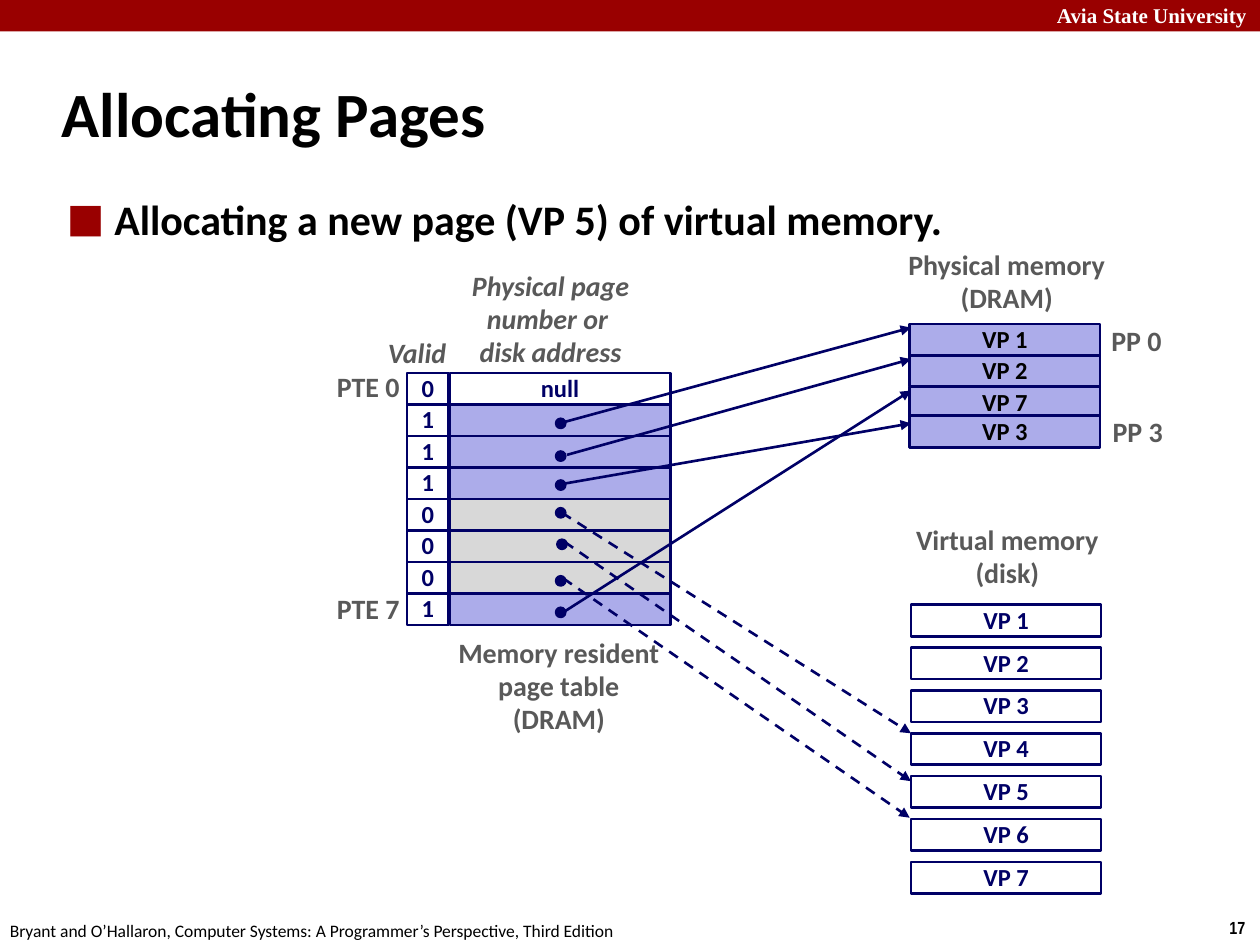
from typing import NamedTuple, Optional

from lxml import etree
from pptx import Presentation
from pptx import util as u
from pptx.dml.color import RGBColor
from pptx.enum import dml, shapes, text
from pptx.oxml.ns import qn

COLORS = {
    "banner": "990000",
    "white": "FFFFFF",
    "black": "000000",
    "navy": "000066",
    "label": "595959",
    "cached": "ACACEA",
    "uncached": "D8D8D8",
}
ROW_HEIGHT = 0.25
CENTER, LEFT, RIGHT = text.PP_ALIGN.CENTER, text.PP_ALIGN.LEFT, text.PP_ALIGN.RIGHT
TOP, MIDDLE = text.MSO_ANCHOR.TOP, text.MSO_ANCHOR.MIDDLE


class Box(NamedTuple):
    left: float
    top: float
    width: float
    height: float


class Style(NamedTuple):
    size: float
    color: str
    bold: bool = True
    italic: bool = False
    font: str = "Calibri"
    align: text.PP_ALIGN = CENTER
    anchor: text.MSO_ANCHOR = MIDDLE
    spacing: Optional[float] = 0.98


class Label(NamedTuple):
    box: Box
    lines: list
    style: Style


class Entry(NamedTuple):
    valid: str
    fill: str
    address: str = ""


class Pointer(NamedTuple):
    dot: tuple
    start: tuple
    end: tuple
    dashed: bool = False


CELL = Style(14, "navy")
FRAME = Style(14, "black")
CAPTION = Style(16, "label", anchor=TOP)
SIDE = Style(16, "label")
HEADING = Style(36, "black", align=LEFT, spacing=None)
BULLET = Style(24, "black", align=LEFT, anchor=TOP, spacing=None)
FOOTER = Style(10, "black", bold=False, align=LEFT, anchor=TOP, spacing=None)

LABELS = [
    Label(Box(8.29, -0.03, 1.78, 0.3), ["Avia State University"],
          FOOTER._replace(size=12, color="white", bold=True, font="Times New Roman")),
    Label(Box(9.66, 7.23, 0.34, 0.27), ["17"],
          FOOTER._replace(bold=True, font="Arial Narrow")),
    Label(Box(-0.02, 7.25, 5.08, 0.27),
          ["Bryant and O’Hallaron, Computer Systems: A Programmer’s Perspective, Third Edition"],
          FOOTER),
    Label(Box(3.51, 5.01, 1.85, 0.89), ["Memory resident", "page table", "(DRAM)"], CAPTION),
    Label(Box(7.1, 1.93, 1.78, 0.63), ["Physical memory", "(DRAM)"], CAPTION),
    Label(Box(7.15, 4.11, 1.69, 0.63), ["Virtual memory", "(disk)"], CAPTION),
    Label(Box(2.98, 2.63, 0.75, 0.37), ["Valid"], CAPTION._replace(italic=True, align=LEFT)),
    Label(Box(3.64, 2.09, 1.46, 0.89), ["Physical page", "number or ", "disk address"],
          SIDE._replace(italic=True)),
    Label(Box(2.57, 2.89, 0.7, 0.37), ["PTE 0"], SIDE._replace(align=RIGHT)),
    Label(Box(2.57, 4.65, 0.7, 0.37), ["PTE 7"], SIDE._replace(align=RIGHT)),
    Label(Box(8.72, 2.53, 0.6, 0.37), ["PP 0"], SIDE),
    Label(Box(8.73, 3.25, 0.6, 0.37), ["PP 3"], SIDE),
]
PAGE_TABLE = [
    Entry("0", "white", "null"),
    *[Entry("1", "cached")] * 3,
    *[Entry("0", "uncached")] * 3,
    Entry("1", "cached"),
]
PHYSICAL_PAGES = {"VP 1": 2.57, "VP 2": 2.82, "VP 7": 3.07, "VP 3": 3.3}
POINTERS = [
    Pointer((4.41, 3.32), (4.44, 3.36), (7.23, 2.6)),
    Pointer((4.41, 3.58), (4.5, 3.61), (7.23, 2.85)),
    Pointer((4.41, 3.81), (4.47, 3.84), (7.23, 3.36)),
    Pointer((4.41, 4.03), (4.46, 4.07), (7.23, 5.82), True),
    Pointer((4.42, 4.28), (4.48, 4.3), (7.23, 6.2), True),
    Pointer((4.41, 4.57), (4.47, 4.59), (7.22, 6.49), True),
    Pointer((4.41, 4.82), (4.47, 4.86), (7.23, 3.1)),
]


def rgb(name: str) -> RGBColor:
    return RGBColor.from_string(COLORS[name])


def inches(values) -> list:
    return [u.Inches(value) for value in values]


def write(frame, lines: list, style: Style) -> None:
    frame.vertical_anchor = style.anchor
    font_format = {"size": u.Pt(style.size), "bold": style.bold,
                   "italic": style.italic, "name": style.font}
    for number, line in enumerate(lines):
        paragraph = frame.add_paragraph() if number else frame.paragraphs[0]
        paragraph.alignment = style.align
        paragraph.line_spacing = style.spacing
        run = paragraph.add_run()
        run.text = line
        for attribute, value in font_format.items():
            setattr(run.font, attribute, value)
        run.font.color.rgb = rgb(style.color)


def add_label(slide, label: Label) -> None:
    frame = slide.shapes.add_textbox(*inches(label.box)).text_frame
    frame.word_wrap = False
    frame.auto_size = text.MSO_AUTO_SIZE.SHAPE_TO_FIT_TEXT
    write(frame, label.lines, label.style)


def add_filled(slide, box: Box, fill: Optional[str], line: Optional[str] = "navy",
               kind=shapes.MSO_SHAPE.RECTANGLE, weight: float = 1.5):
    shape = slide.shapes.add_shape(kind, *inches(box))
    shape.shadow.inherit = False
    if fill:
        shape.fill.solid()
        shape.fill.fore_color.rgb = rgb(fill)
    else:
        shape.fill.background()
    if line:
        shape.line.color.rgb = rgb(line)
        shape.line.width = u.Pt(weight)
    else:
        shape.line.fill.background()
    return shape


def add_cell(slide, box: Box, fill: Optional[str], words: str, style: Style = CELL) -> None:
    cell = add_filled(slide, box, fill)
    if words:
        write(cell.text_frame, [words], style)


def add_pointer(slide, pointer: Pointer) -> None:
    arrow = slide.shapes.add_connector(
        shapes.MSO_CONNECTOR.STRAIGHT, *inches(pointer.start + pointer.end))
    arrow.line.color.rgb = rgb("navy")
    arrow.line.width = u.Pt(1.5)
    if pointer.dashed:
        arrow.line.dash_style = dml.MSO_LINE.DASH
    etree.SubElement(arrow.line._get_or_add_ln(), qn("a:tailEnd"), type="triangle")
    etree.SubElement(arrow._element.spPr, qn("a:effectLst"))
    add_filled(slide, Box(*pointer.dot, 0.08, 0.08), "navy",
               kind=shapes.MSO_SHAPE.OVAL, weight=1)


def add_bullet(slide, box: Box, words: str) -> None:
    frame = slide.shapes.add_textbox(*inches(box)).text_frame
    frame.word_wrap = True
    write(frame, [words], BULLET)
    properties = frame.paragraphs[0]._p.get_or_add_pPr()
    properties.set("marL", str(u.Inches(0.38)))
    properties.set("indent", str(-u.Inches(0.38)))
    bullet_color = etree.SubElement(properties, qn("a:buClr"))
    etree.SubElement(bullet_color, qn("a:srgbClr"), val=COLORS["banner"])
    etree.SubElement(properties, qn("a:buSzPct"), val="150000")
    etree.SubElement(properties, qn("a:buFont"), typeface="Arial")
    etree.SubElement(properties, qn("a:buChar"), char="■")


def main() -> None:
    deck = Presentation()
    deck.slide_width, deck.slide_height = inches((10, 7.5))
    slide = deck.slides.add_slide(deck.slide_layouts[5])

    heading = slide.shapes.title
    placement = zip(Box._fields, inches((0.39, 0.48, 8.3, 0.83)))
    for attribute, value in placement:
        setattr(heading, attribute, value)
    write(heading.text_frame, ["Allocating Pages"], HEADING)
    add_filled(slide, Box(0, 0, 10, 0.25), "banner", line=None)
    add_bullet(slide, Box(0.43, 1.49, 8.64, 5.44),
               "Allocating a new page (VP 5) of virtual memory.")

    for row, entry in enumerate(PAGE_TABLE):
        top = 2.96 + row * ROW_HEIGHT
        add_cell(slide, Box(3.57, top, 1.75, ROW_HEIGHT), entry.fill, entry.address)
        add_cell(slide, Box(3.23, top, 0.33, ROW_HEIGHT), None, entry.valid)
    for page, top in PHYSICAL_PAGES.items():
        add_cell(slide, Box(7.22, top, 1.51, ROW_HEIGHT), "cached", page, FRAME)
    for number in range(7):
        add_cell(slide, Box(7.23, 4.8 + number * 0.34, 1.51, ROW_HEIGHT),
                 "white", f"VP {number + 1}")

    for label in LABELS:
        add_label(slide, label)
    for pointer in POINTERS:
        add_pointer(slide, pointer)
    deck.save("out.pptx")


if __name__ == "__main__":
    main()
